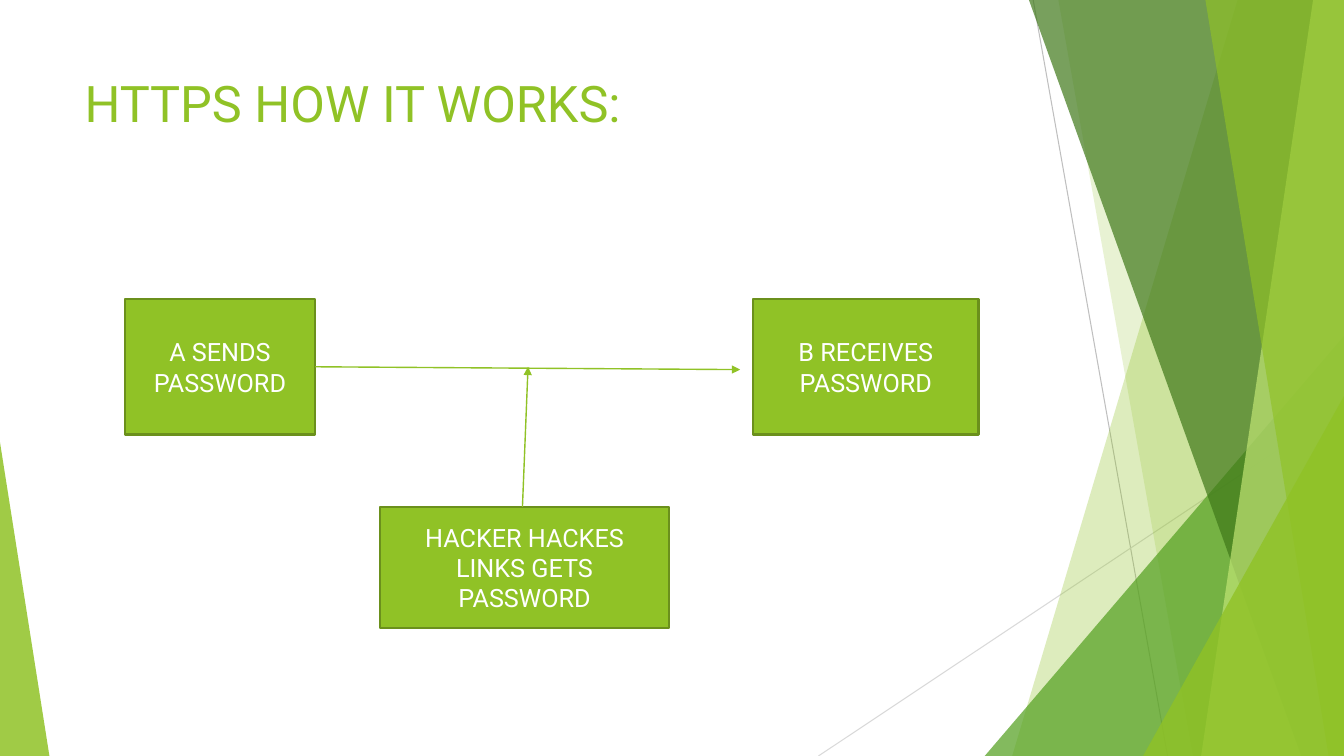
from lxml import etree
from pptx import Presentation
from pptx.dml.color import RGBColor
from pptx.enum.shapes import MSO_CONNECTOR, MSO_SHAPE
from pptx.enum.text import MSO_ANCHOR, PP_ALIGN
from pptx.oxml.ns import qn
from pptx.util import Pt

STRAIGHT = MSO_CONNECTOR.STRAIGHT
RECT, TRIANGLE = MSO_SHAPE.RECTANGLE, MSO_SHAPE.ISOSCELES_TRIANGLE
TOP, MIDDLE = MSO_ANCHOR.TOP, MSO_ANCHOR.MIDDLE
LEFT, CENTER = PP_ALIGN.LEFT, PP_ALIGN.CENTER

LIME = RGBColor(0x90, 0xC2, 0x26)
LIME_EDGE = RGBColor(0x6B, 0x90, 0x1C)
PALE_LIME = RGBColor(0xC0, 0xE4, 0x74)
GREEN = RGBColor(0x54, 0xA0, 0x21)
DARK_GREEN = RGBColor(0x3F, 0x78, 0x19)
GREY = RGBColor(0xBF, 0xBF, 0xBF)
LIGHT_GREY = RGBColor(0xD9, 0xD9, 0xD9)
WHITE = RGBColor(0xFF, 0xFF, 0xFF)
FONT = "Roboto"
SLIDE_W, SLIDE_H = 960, 540


def write(sp, text, size, color, align=LEFT, anchor=TOP):
    tf = sp.text_frame
    tf.word_wrap = True
    tf.vertical_anchor = anchor
    p = tf.paragraphs[0]
    p.alignment = align
    r = p.add_run()
    r.text = text
    r.font.name = FONT
    r.font.size = Pt(size)
    r.font.color.rgb = color


def add_line(slide, start, end, color, width, arrow=False):
    ln = slide.shapes.add_connector(STRAIGHT, *map(Pt, start + end))
    ln.line.color.rgb = color
    ln.line.width = Pt(width)
    if arrow:
        etree.SubElement(ln.line._get_or_add_ln(), qn("a:tailEnd"), type="triangle")
    etree.SubElement(ln._element.spPr, qn("a:effectLst"))


def tint(sp, color, opacity):
    sp.shadow.inherit = False
    sp.line.fill.background()
    sp.fill.solid()
    sp.fill.fore_color.rgb = color
    clr = sp._element.spPr.find(qn("a:solidFill"))[0]
    etree.SubElement(clr, qn("a:alpha"), val=str(opacity * 1000))


def add_facet(slide, box, top_inset, bottom_inset, color, opacity):
    x, y, w, h = box
    right, bottom = x + w, y + h
    fb = slide.shapes.build_freeform(Pt(right - top_inset), Pt(y))
    fb.add_line_segments([(Pt(right), Pt(y)), (Pt(right), Pt(bottom)),
                          (Pt(right - bottom_inset), Pt(bottom))])
    tint(fb.convert_to_shape(), color, opacity)


def add_corner(slide, box, w, h, color, opacity, on_right=True):
    bx, by, bw, bh = box
    x = bx + bw - w if on_right else bx
    sp = slide.shapes.add_shape(TRIANGLE, Pt(x), Pt(by + bh - h), Pt(w), Pt(h))
    sp.adjustments[0] = 1 if on_right else 0
    tint(sp, color, opacity)


def add_backdrop(slide, box):
    x, y, w, h = box
    right, bottom = x + w, y + h
    add_line(slide, (right - 222, y), (right - 126, bottom), GREY, 0.75)
    add_line(slide, (right, y + 290), (right - 375.4, bottom), LIGHT_GREY, 0.75)
    add_facet(slide, box, 76, 237, LIME, 30)
    add_facet(slide, box, 204, 108, LIME, 20)
    add_corner(slide, box, 256.6, 300, GREEN, 72)
    add_facet(slide, box, 225, 30.5, DARK_GREEN, 70)
    add_facet(slide, box, 22, 102, PALE_LIME, 70)
    add_facet(slide, box, 99, 11, LIME, 65)
    add_corner(slide, box, 143.5, 257, LIME, 80)
    add_corner(slide, box, 35.3, 224, LIME, 85, on_right=False)


def add_title(slide, box, text):
    write(slide.shapes.add_textbox(*map(Pt, box)), text, 36, LIME)


def add_step(slide, x, y, w, h, text):
    sp = slide.shapes.add_shape(RECT, Pt(x), Pt(y), Pt(w), Pt(h))
    sp.shadow.inherit = False
    sp.fill.solid()
    sp.fill.fore_color.rgb = LIME
    sp.line.color.rgb = LIME_EDGE
    sp.line.width = Pt(1.5)
    write(sp, text, 18, WHITE, CENTER, MIDDLE)


def add_attack_flow(slide, box):
    x, y, w, h = box
    sender_w, receiver_w, party_h = 136.3, 161, 96.8
    hacker_x, hacker_w, hacker_h = x + 182.2, 207, 86.6
    hacker_y = y + h - hacker_h
    link_y = y + party_h / 2
    receiver_x = x + w - receiver_w
    add_step(slide, x, y, sender_w, party_h, "A SENDS PASSWORD")
    add_step(slide, receiver_x, y, receiver_w, party_h, "B RECEIVES PASSWORD")
    add_step(slide, hacker_x, hacker_y, hacker_w, hacker_h,
             "HACKER HACKES LINKS GETS PASSWORD")
    add_line(slide, (x + sender_w, link_y), (receiver_x - 9.3, link_y + 2),
             LIME, 1, arrow=True)
    add_line(slide, (hacker_x + 102, hacker_y), (hacker_x + 106, link_y),
             LIME, 1, arrow=True)


prs = Presentation()
prs.slide_width, prs.slide_height = Pt(SLIDE_W), Pt(SLIDE_H)
slide = prs.slides.add_slide(prs.slide_layouts[6])
add_backdrop(slide, (0, 0, SLIDE_W, SLIDE_H))
add_title(slide, (53.3, 48, 677, 104), "HTTPS HOW IT WORKS:")
add_attack_flow(slide, (89, 213.6, 610, 235))
prs.save("out.pptx")
